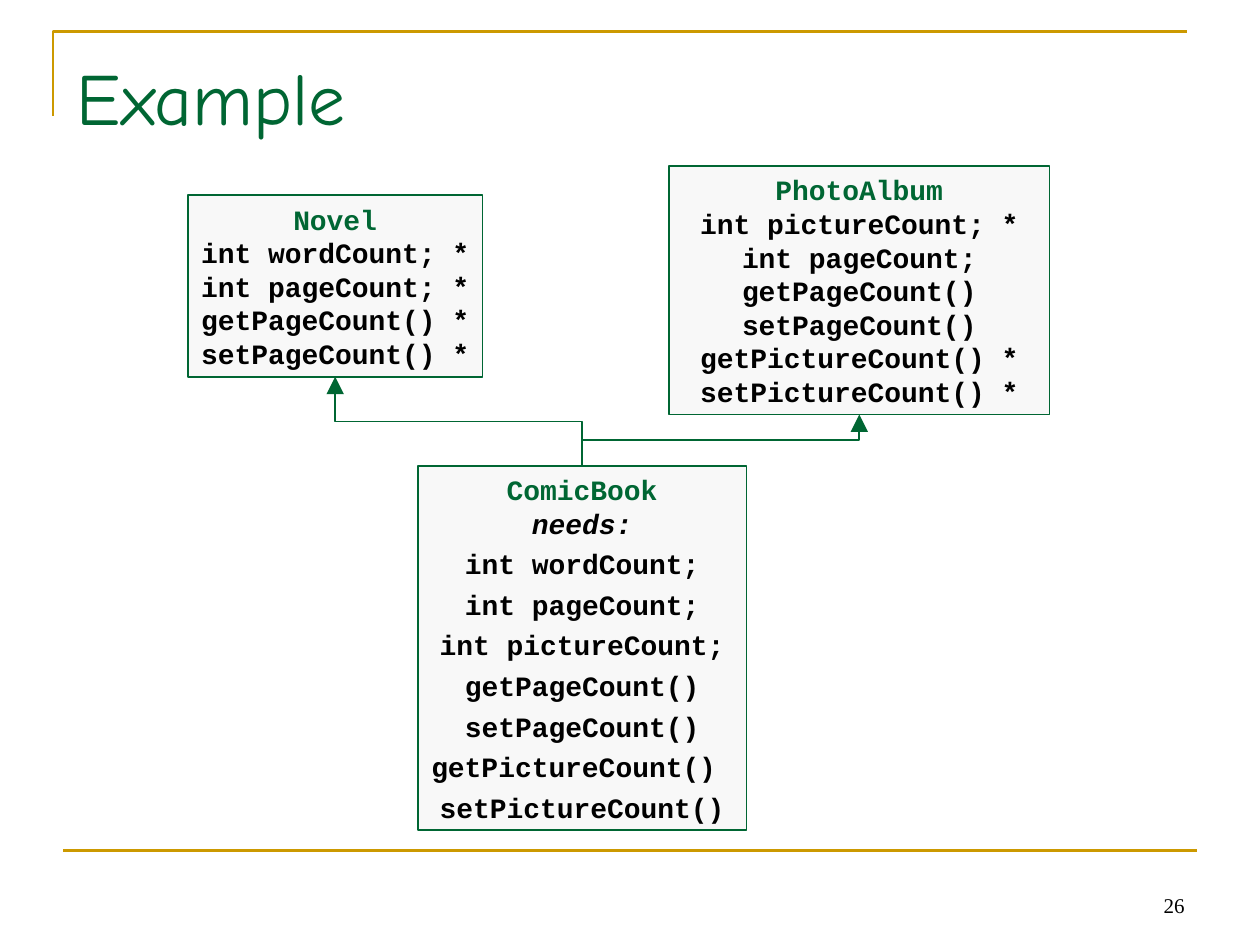
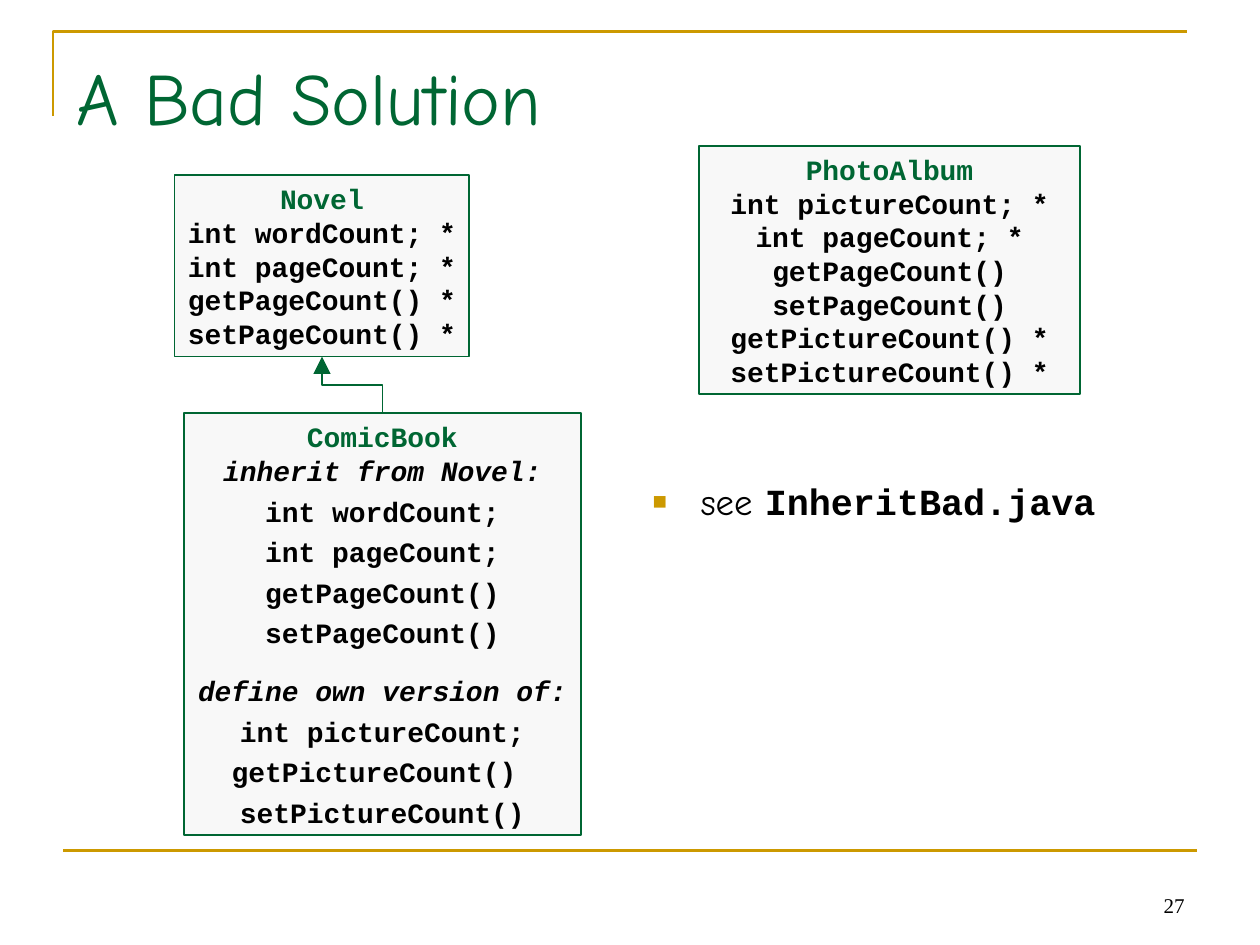
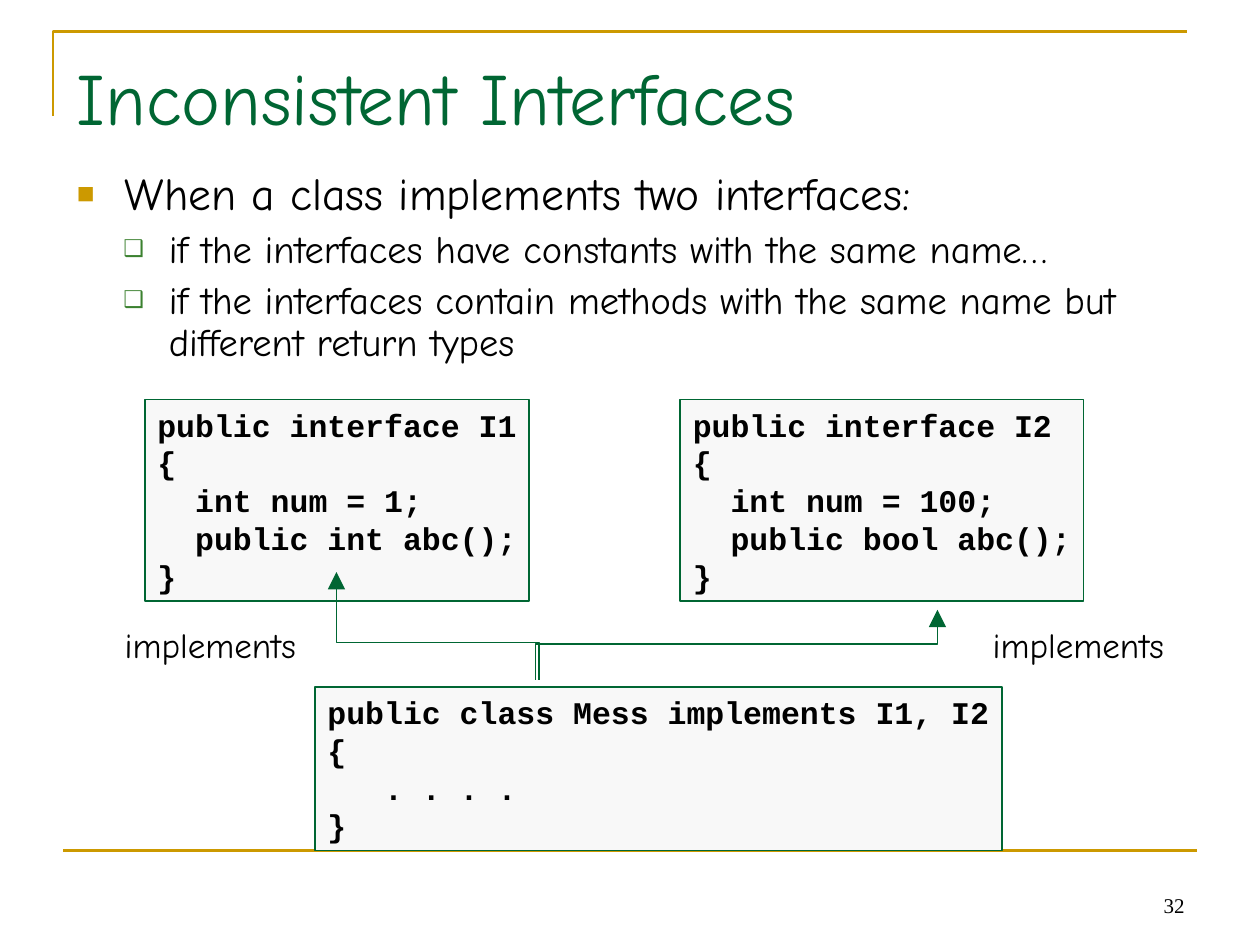
from dataclasses import dataclass
from typing import NamedTuple

from lxml.etree import SubElement
from pptx import Presentation
from pptx.dml.color import RGBColor
from pptx.enum.shapes import MSO_CONNECTOR, MSO_SHAPE
from pptx.enum.text import MSO_ANCHOR, MSO_AUTO_SIZE, PP_ALIGN
from pptx.oxml.ns import qn
from pptx.util import Emu, Inches, Pt

COLORS = {
    "green": "006633",
    "gold": "CC9900",
    "leaf": "3B812F",
    "panel": "F8F8F8",
    "ink": "000000",
}
HAND, CODE, SERIF = "Comic Neue", "Courier New", "Times New Roman"

SLIDE_WIDTH, SLIDE_HEIGHT = Inches(10), Inches(7.5)
COLUMNS, ROWS = 100, 75
TITLE_ONLY, TITLE_AND_BODY = 5, 1


class Point(NamedTuple):
    column: float
    row: float


class Area(NamedTuple):
    column: float
    row: float
    columns: float
    rows: float

    @property
    def top_middle(self) -> Point:
        return Point(self.column + self.columns / 2, self.row)

    @property
    def bottom_middle(self) -> Point:
        return Point(self.column + self.columns / 2, self.row + self.rows)


class Line(NamedTuple):
    text: str
    color: str = "ink"
    italic: bool = False
    space: float = 0


@dataclass(frozen=True)
class CodeBox:
    area: Area
    lines: list[Line]
    size: int = 16
    align: PP_ALIGN = PP_ALIGN.CENTER
    wrap: bool = False


@dataclass(frozen=True)
class Arrow:
    """An elbow running down from its arrowhead, across, and down to its tail."""
    head: Point
    tail: Point
    bend: float = 0.5


class Bullet(NamedTuple):
    mark: str
    color: str
    percent: int
    left: float
    hanging: float
    size: float
    space: float
    level: int


SQUARE = Bullet("■", "gold", 65, 0.38, 0.38, 26, 6.5, 0)
BOX = Bullet("❑", "leaf", 60, 0.73, 0.36, 22, 5.5, 1)

TITLE_AREA = Area(5.1, 3.6, 90.6, 12.5)
NUMBER_AREA = Area(71.7, 68.3, 23.3, 5)
CORNER = [Point(4.2, 9.2), Point(4.2, 2.5), Point(94.2, 2.5)]
FOOT_RULE = [Point(5, 67.5), Point(95, 67.5)]

NOVEL = [Line("Novel", "green"), Line("int wordCount; *"), Line("int pageCount; *"),
         Line("getPageCount() *"), Line("setPageCount() *")]


def across(columns: float) -> Emu:
    return Emu(round(SLIDE_WIDTH * columns / COLUMNS))


def down(rows: float) -> Emu:
    return Emu(round(SLIDE_HEIGHT * rows / ROWS))


def on_slide(area: Area) -> tuple[Emu, Emu, Emu, Emu]:
    return across(area.column), down(area.row), across(area.columns), down(area.rows)


def color(name: str) -> RGBColor:
    return RGBColor.from_string(COLORS[name])


def style(font, name: str, size: float, ink: str = "ink", bold: bool = False,
          italic: bool = False) -> None:
    font.name, font.size, font.bold, font.italic = name, Pt(size), bold, italic
    font.color.rgb = color(ink)


def stroke(shape, ink: str, width: float) -> None:
    shape.line.color.rgb = color(ink)
    shape.line.width = Pt(width)


def add_line(slide, kind: MSO_CONNECTOR, start: Point, end: Point, ink: str, width: float):
    connector = slide.shapes.add_connector(
        kind, across(start.column), down(start.row), across(end.column), down(end.row))
    stroke(connector, ink, width)
    SubElement(connector._element.spPr, qn("a:effectLst"))
    return connector


def place(placeholder, area: Area):
    """Move a placeholder and return its text frame, set from the top at fixed size."""
    placeholder.left, placeholder.top, placeholder.width, placeholder.height = on_slide(area)
    frame = placeholder.text_frame
    frame.vertical_anchor, frame.auto_size = MSO_ANCHOR.TOP, MSO_AUTO_SIZE.NONE
    return frame


def add_label(slide, area: Area, text: str, font: str, size: float,
              align: PP_ALIGN = PP_ALIGN.LEFT, anchor: MSO_ANCHOR = MSO_ANCHOR.TOP) -> None:
    frame = slide.shapes.add_textbox(*on_slide(area)).text_frame
    frame.word_wrap, frame.vertical_anchor = True, anchor
    paragraph = frame.paragraphs[0]
    paragraph.text, paragraph.alignment = text, align
    style(paragraph.font, font, size)


def add_page(presentation, title: str, number: int, layout: int):
    slide = presentation.slides.add_slide(presentation.slide_layouts[layout])
    points = [(across(point.column), down(point.row)) for point in CORNER]
    builder = slide.shapes.build_freeform(*points[0])
    builder.add_line_segments(points[1:], close=False)
    corner = builder.convert_to_shape()
    corner.shadow.inherit = False
    corner.fill.background()
    stroke(corner, "gold", 1.5)
    add_line(slide, MSO_CONNECTOR.STRAIGHT, *FOOT_RULE, "gold", 1.5)
    add_label(slide, NUMBER_AREA, str(number), SERIF, 12, PP_ALIGN.RIGHT, MSO_ANCHOR.BOTTOM)

    paragraph = place(slide.shapes.title, TITLE_AREA).paragraphs[0]
    paragraph.text, paragraph.alignment = title, PP_ALIGN.LEFT
    style(paragraph.font, HAND, 42, "green")
    return slide


def add_bullet(paragraph, bullet: Bullet, first: bool, size: float) -> None:
    paragraph.level = bullet.level
    paragraph.space_before = Pt(0 if first else bullet.space)
    properties = paragraph._p.get_or_add_pPr()
    properties.set("marL", str(Inches(bullet.left)))
    properties.set("indent", str(-Inches(bullet.hanging)))
    mark_color = SubElement(properties, qn("a:buClr"))
    SubElement(mark_color, qn("a:srgbClr"), val=COLORS[bullet.color])
    SubElement(properties, qn("a:buSzPct"), val=str(bullet.percent * 1000))
    SubElement(properties, qn("a:buChar"), char=bullet.mark)
    style(paragraph.font, HAND, size)


def add_code_box(slide, box: CodeBox) -> None:
    shape = slide.shapes.add_shape(MSO_SHAPE.RECTANGLE, *on_slide(box.area))
    shape.shadow.inherit = False
    shape.fill.solid()
    shape.fill.fore_color.rgb = color("panel")
    stroke(shape, "green", 1)
    frame = shape.text_frame
    frame.word_wrap, frame.auto_size = box.wrap, MSO_AUTO_SIZE.SHAPE_TO_FIT_TEXT
    frame.vertical_anchor = MSO_ANCHOR.MIDDLE
    for index, line in enumerate(box.lines):
        paragraph = frame.add_paragraph() if index else frame.paragraphs[0]
        paragraph.text, paragraph.alignment = line.text, box.align
        paragraph.space_before = Pt(line.space)
        style(paragraph.font, CODE, box.size, line.color, bold=True, italic=line.italic)


def add_arrow(slide, arrow: Arrow) -> None:
    """Draw the elbow lying on its side, then turn it so that it leaves vertically."""
    head, tail = arrow.head, arrow.tail
    middle = Point((head.column + tail.column) / 2, (head.row + tail.row) / 2)
    half_length = (tail.row - head.row) / 2
    half_breadth = abs(tail.column - head.column) / 2
    connector = add_line(
        slide, MSO_CONNECTOR.ELBOW,
        Point(middle.column - half_length, middle.row - half_breadth),
        Point(middle.column + half_length, middle.row + half_breadth), "green", 1)
    properties = connector._element.spPr
    transform = properties.find(qn("a:xfrm"))
    heads_left = head.column < tail.column
    transform.set("rot", str((270 if heads_left else 90) * 60000))
    if heads_left:
        transform.set("flipH", "1")
    guides = properties.find(qn("a:prstGeom")).get_or_add_avLst()
    SubElement(guides, qn("a:gd"), name="adj1", fmla=f"val {round(arrow.bend * 100000)}")
    SubElement(properties.find(qn("a:ln")), qn("a:headEnd"),
               type="triangle", w="lg", len="lg")


def members(*names: str) -> list[Line]:
    return [Line(name, space=4) for name in names]


def photo_album(area: Area, page_count: str) -> CodeBox:
    return CodeBox(area, [
        Line("PhotoAlbum", "green"), Line("int pictureCount; *"), Line(page_count),
        Line("getPageCount() setPageCount()"),
        Line("getPictureCount() * setPictureCount() *")], wrap=True)


def interface(area: Area, *lines: str) -> CodeBox:
    return CodeBox(area, [Line(line) for line in lines], 18, PP_ALIGN.LEFT)


def add_example(presentation) -> None:
    slide = add_page(presentation, "Example", 26, TITLE_ONLY)
    comic_book = CodeBox(Area(33.15, 37, 26.1, 28.9), [
        Line("ComicBook", "green"), Line("needs:", italic=True),
        *members("int wordCount;", "int pageCount;", "int pictureCount;",
                 "getPageCount()", "setPageCount()",
                 "getPictureCount() ", "setPictureCount()")])
    album = photo_album(Area(53.1, 13.2, 30.2, 19.7), "int pageCount;")
    novel = CodeBox(Area(14.9, 15.5, 23.4, 14.4), NOVEL)
    for box in (comic_book, album, novel):
        add_code_box(slide, box)
    for parent in (album, novel):
        add_arrow(slide, Arrow(parent.area.bottom_middle, comic_book.area.top_middle))


def add_bad_solution(presentation) -> None:
    slide = add_page(presentation, "A Bad Solution", 27, TITLE_AND_BODY)
    paragraph = place(slide.placeholders[1], Area(50.8, 37.5, 51.2, 29.1)).paragraphs[0]
    add_bullet(paragraph, SQUARE, True, 21)
    for text, font, bold in (("see ", HAND, False), ("InheritBad.java", CODE, True)):
        run = paragraph.add_run()
        run.text = text
        style(run.font, font, 21, bold=bold)

    comic_book = CodeBox(Area(14.6, 32.8, 31.5, 33.5), [
        Line("ComicBook", "green"), Line("inherit from Novel:", italic=True),
        *members("int wordCount;", "int pageCount;", "getPageCount()", "setPageCount()"),
        Line("define own version of:", italic=True, space=13.8),
        *members("int pictureCount;", "getPictureCount() ", "setPictureCount()")])
    novel = CodeBox(Area(13.85, 13.9, 23.4, 14.4), NOVEL)
    album = photo_album(Area(55.5, 11.6, 30.2, 19.7), "int pageCount; *")
    for box in (comic_book, album, novel):
        add_code_box(slide, box)
    add_arrow(slide, Arrow(novel.area.bottom_middle, comic_book.area.top_middle))


def add_inconsistent_interfaces(presentation) -> None:
    slide = add_page(presentation, "Inconsistent Interfaces", 32, TITLE_AND_BODY)
    frame = place(slide.placeholders[1], Area(5.1, 13.1, 90, 18.1))
    points = [
        (SQUARE, "When a class implements two interfaces:"),
        (BOX, "if the interfaces have constants with the same name…"),
        (BOX, "if the interfaces contain methods with the same name but "
              "different return types"),
    ]
    for index, (bullet, text) in enumerate(points):
        paragraph = frame.add_paragraph() if index else frame.paragraphs[0]
        paragraph.text, paragraph.line_spacing = text, 0.9
        add_bullet(paragraph, bullet, index == 0, bullet.size)

    boxes = [
        interface(Area(11.5, 31.7, 30.5, 16), "public interface I1", "{",
                  "  int num = 1;\n  public int abc();\n}"),
        interface(Area(54, 31.7, 32, 16), "public interface I2", "{",
                  "  int num = 100;\n  public bool abc();\n}"),
        interface(Area(25, 54.5, 54.5, 13), "public class Mess implements I1, I2", "{",
                  "   . . . .\n}"),
    ]
    for box in boxes:
        add_code_box(slide, box)
    add_arrow(slide, Arrow(Point(26.7, 45.4), Point(42.8, 54), 0.65))
    add_arrow(slide, Arrow(Point(74.4, 48.4), Point(42.5, 54), 0.49))
    for column in (8.9, 77.8):
        add_label(slide, Area(column, 49, 17.9, 4.4), "implements", HAND, 20)


def main() -> None:
    presentation = Presentation()
    presentation.slide_width, presentation.slide_height = SLIDE_WIDTH, SLIDE_HEIGHT
    add_example(presentation)
    add_bad_solution(presentation)
    add_inconsistent_interfaces(presentation)
    presentation.save("out.pptx")


if __name__ == "__main__":
    main()
